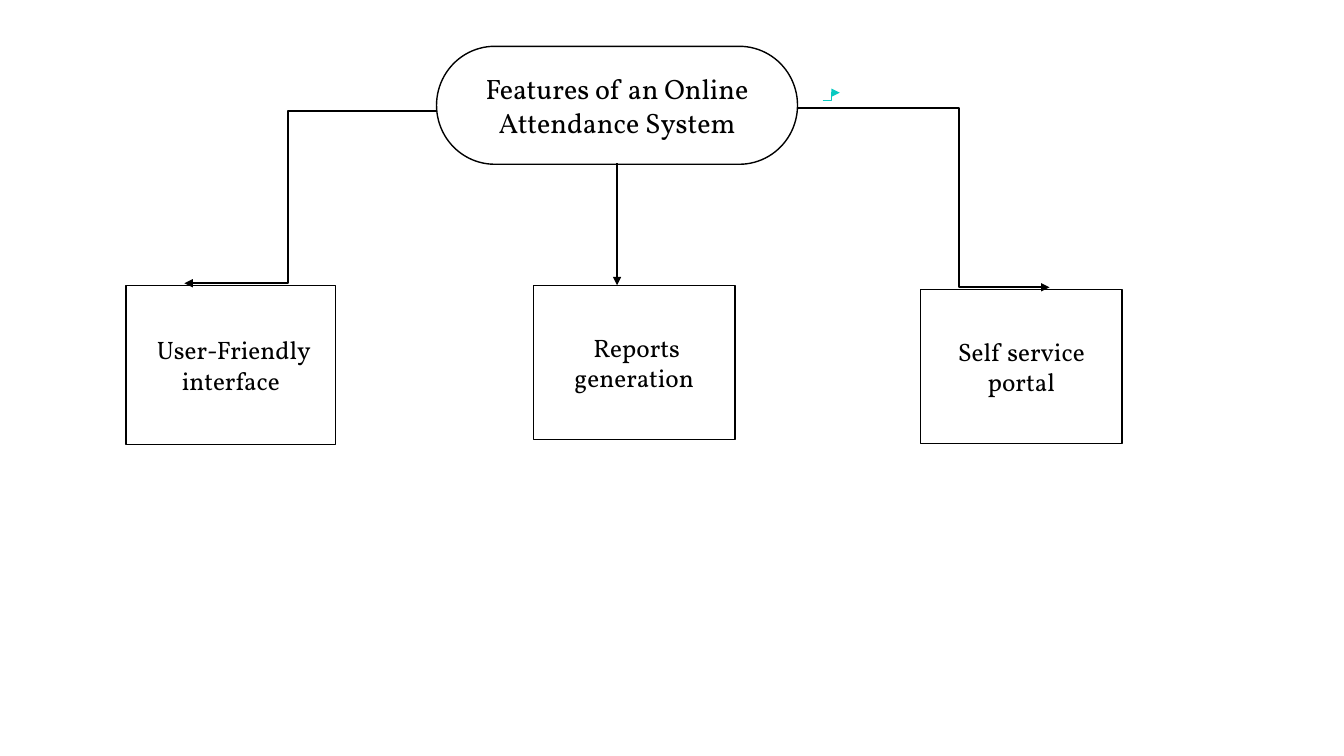
from lxml.etree import SubElement
from pptx import Presentation
from pptx.dml.color import RGBColor
from pptx.enum.shapes import MSO_CONNECTOR, MSO_SHAPE
from pptx.enum.text import MSO_ANCHOR, PP_ALIGN
from pptx.oxml.ns import qn
from pptx.util import Inches, Pt

BLACK = RGBColor(0x00, 0x00, 0x00)
WHITE = RGBColor(0xFF, 0xFF, 0xFF)
TEAL = RGBColor(0x08, 0xCA, 0xC1)

deck = Presentation()
deck.slide_width, deck.slide_height = Inches(13.33), Inches(7.5)
slide = deck.slides.add_slide(deck.slide_layouts[6])

# Title node and the three feature boxes
nodes = [
    (MSO_SHAPE.FLOWCHART_TERMINATOR, 4.33, 0.46, 3.58, 1.17, 20,
     "Features of an Online Attendance System"),
    (MSO_SHAPE.RECTANGLE, 1.25, 2.83, 2.08, 1.58, 18, " User-Friendly interface"),
    (MSO_SHAPE.RECTANGLE, 5.29, 2.83, 2, 1.53, 18, " Reports generation"),
    (MSO_SHAPE.RECTANGLE, 9.13, 2.87, 2, 1.53, 18, "Self service portal"),
]
for kind, left, top, width, height, size, text in nodes:
    node = slide.shapes.add_shape(
        kind, Inches(left), Inches(top), Inches(width), Inches(height))
    node.shadow.inherit = False
    node.fill.solid()
    node.fill.fore_color.rgb = WHITE
    node.line.color.rgb = BLACK
    node.line.width = Pt(1)
    frame = node.text_frame
    frame.word_wrap = True
    frame.vertical_anchor = MSO_ANCHOR.MIDDLE
    frame.text = text
    para = frame.paragraphs[0]
    para.alignment = PP_ALIGN.CENTER
    font = para.runs[0].font
    font.name, font.size = "Vollkorn", Pt(size)
    font.color.rgb = BLACK

# Arrows: kind, start, end, colour, weight, bend position in 1/1000 of the width
ELBOW, STRAIGHT = MSO_CONNECTOR.ELBOW, MSO_CONNECTOR.STRAIGHT
arrows = [
    (ELBOW, (8.16, 1), (8.33, 0.92), TEAL, 1, None),
    (ELBOW, (7.91, 1.07), (10.41, 2.85), BLACK, 1.5, 642),
    (STRAIGHT, (6.12, 1.62), (6.12, 2.83), BLACK, 1.5, None),
    (ELBOW, (4.33, 1.1), (1.83, 2.81), BLACK, 1.5, 591),
]
for kind, start, end, color, weight, bend in arrows:
    arrow = slide.shapes.add_connector(
        kind, *[Inches(value) for value in start + end])
    arrow.line.color.rgb = color
    arrow.line.width = Pt(weight)
    props = arrow.element.spPr
    SubElement(props.find(qn("a:ln")), qn("a:tailEnd"), type="triangle")
    SubElement(props, qn("a:effectLst"))
    if bend:
        guides = props.find(qn("a:prstGeom")).find(qn("a:avLst"))
        SubElement(guides, qn("a:gd"), name="adj1", fmla=f"val {bend * 100}")

deck.save("out.pptx")
